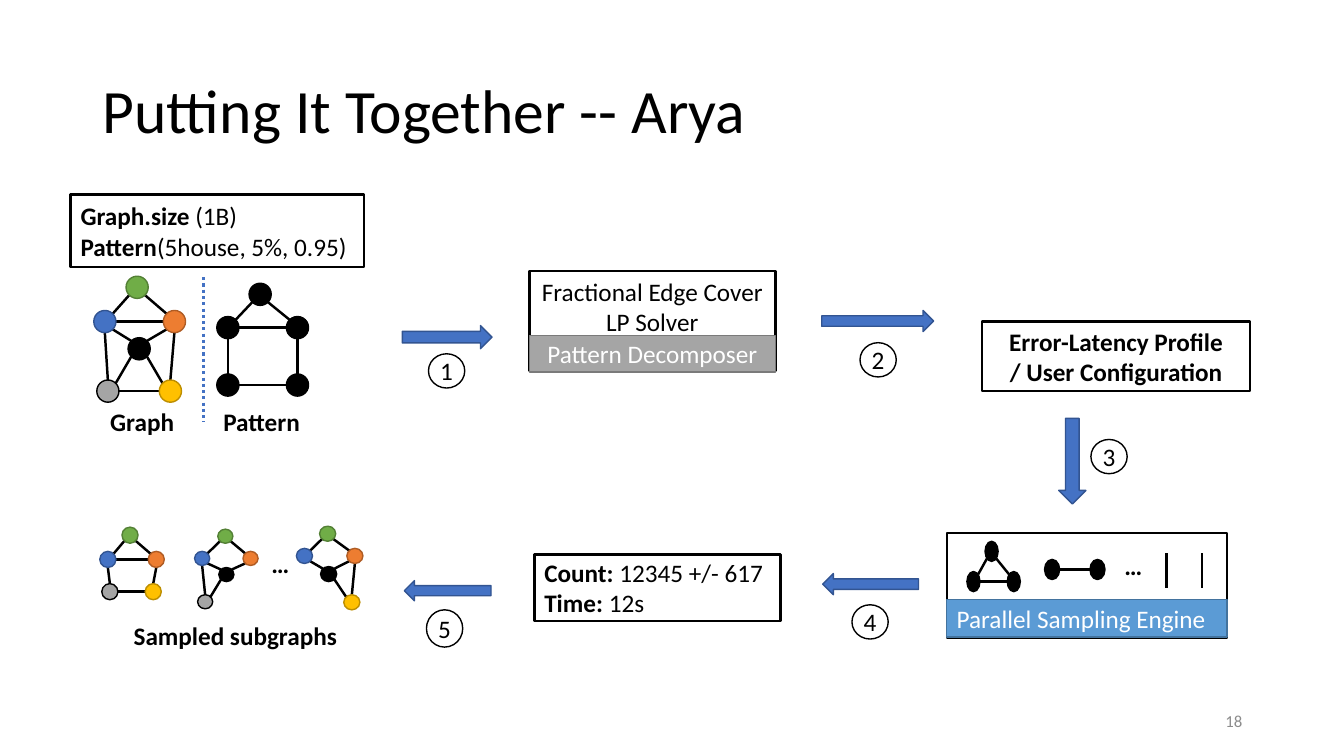
from math import atan2, cos, pi, sin

from lxml import etree
from pptx import Presentation
from pptx.dml.color import RGBColor
from pptx.enum.dml import MSO_LINE
from pptx.enum.shapes import MSO_CONNECTOR, MSO_SHAPE
from pptx.enum.text import MSO_ANCHOR as Anchor, PP_ALIGN as Align
from pptx.oxml.ns import qn
from pptx.util import Inches, Pt

FONT = "Calibri"
COLORS = {
    "black": "000000", "white": "FFFFFF", "gray": "A5A5A5", "gray_edge": "7A7A7A",
    "green": "70AD47", "green_edge": "538035", "blue": "4472C4", "blue_edge": "325491",
    "orange": "ED7D31", "orange_edge": "AF5C24", "gold": "FFC000", "gold_edge": "BD8E00",
    "sky": "5B9BD5", "sky_edge": "43739E", "page": "8C8C8C",
}


def rgb(name):
    return RGBColor.from_string(COLORS[name])


def write(frame, lines, color="black", size=18, align=Align.CENTER, anchor=Anchor.MIDDLE):
    """Each line is a list of (text, bold) runs."""
    frame.vertical_anchor = anchor
    for i, line in enumerate(lines):
        paragraph = frame.paragraphs[0] if i == 0 else frame.add_paragraph()
        paragraph.alignment = align
        for text, bold in line:
            run = paragraph.add_run()
            run.text = text
            run.font.name, run.font.size, run.font.bold = FONT, Pt(size), bold
            run.font.color.rgb = rgb(color)


def add_figure(slide, kind, box, fill, edge, width=1):
    figure = slide.shapes.add_shape(kind, *map(Inches, box))
    figure.shadow.inherit = False
    figure.fill.solid()
    figure.fill.fore_color.rgb = rgb(fill)
    figure.line.color.rgb = rgb(edge)
    figure.line.width = Pt(width)
    return figure


def add_box(slide, box, lines=(), fill="white", edge="black", width=1.75, **style):
    panel = add_figure(slide, MSO_SHAPE.RECTANGLE, box, fill, edge, width)
    panel.text_frame.word_wrap = True
    write(panel.text_frame, lines, **style)


def add_label(slide, box, text, bold=True, wrap=False, **style):
    label = slide.shapes.add_textbox(*map(Inches, box))
    label.text_frame.word_wrap = wrap
    write(label.text_frame, [[(text, bold)]], **style)


def add_line(slide, start, end, color="black", width=1.75):
    line = slide.shapes.add_connector(MSO_CONNECTOR.STRAIGHT, *map(Inches, (*start, *end)))
    line.line.color.rgb = rgb(color)
    line.line.width = Pt(width)
    etree.SubElement(line._element.spPr, qn("a:effectLst"))
    return line


def rim_point(node, other, size):
    """Point on the rim of a node facing another, at the nearest eighth of a turn."""
    angle = atan2(other[1] - node[1], other[0] - node[0])
    angle = round(angle / (pi / 4)) * pi / 4
    return node[0] + size[0] / 2 * (1 + cos(angle)), node[1] + size[1] / 2 * (1 + sin(angle))


def draw_graph(slide, nodes, edges, size, color=None):
    """Nodes map a name to the top left corner; edges are pairs of names."""
    for first, second in (edge.split("-") for edge in edges.split()):
        add_line(slide, rim_point(nodes[first], nodes[second], size),
                 rim_point(nodes[second], nodes[first], size))
    for name, corner in nodes.items():
        fill = color or name
        edge = "black" if fill in ("black", "gray") else fill + "_edge"
        add_figure(slide, MSO_SHAPE.OVAL, (*corner, *size), fill, edge)


def add_step(slide, number, arrow_box, badge_box, rotation=0):
    arrow = add_figure(slide, MSO_SHAPE.RIGHT_ARROW, arrow_box, "blue", "blue_edge")
    arrow.rotation = rotation
    badge = add_figure(slide, MSO_SHAPE.OVAL, badge_box, "white", "black")
    frame = badge.text_frame
    frame.margin_left = frame.margin_right = frame.margin_top = frame.margin_bottom = 0
    frame.word_wrap = False
    write(frame, [[(str(number), False)]])


def draw_title(slide):
    title = slide.shapes.title
    title.left, title.top, title.width, title.height = map(Inches, (0.92, 0.4, 11.5, 1.45))
    write(title.text_frame, [[("Putting It Together -- Arya", False)]], size=44, align=Align.LEFT)
    title.text_frame.paragraphs[0].line_spacing = 0.9


def draw_input(slide):
    add_box(slide, (0.7, 1.93, 2.91, 0.72),
            [[("Graph.size ", True), ("(1B)", False)],
             [("Pattern", True), ("(5house, 5%, 0.95)", False)]], align=Align.LEFT)
    size = (0.22, 0.22)
    graph = {"green": (1.25, 2.74), "blue": (0.93, 3.08), "orange": (1.62, 3.08),
             "black": (1.27, 3.35), "gray": (0.96, 3.77), "gold": (1.58, 3.77)}
    draw_graph(slide, graph, "green-blue green-orange blue-orange blue-black orange-black "
               "black-gray black-gold gray-gold blue-gray orange-gold", size)
    house = {"roof": (2.47, 2.81), "left": (2.15, 3.14), "right": (2.84, 3.14),
             "base_left": (2.15, 3.71), "base_right": (2.84, 3.71)}
    draw_graph(slide, house, "roof-left roof-right left-right left-base_left "
               "right-base_right base_left-base_right", size, "black")
    divider = add_line(slide, (2.02, 2.75), (2.02, 4.19), "blue", 2.25)
    divider.line.dash_style = MSO_LINE.ROUND_DOT
    add_label(slide, (0.99, 3.98, 0.84, 0.4), "Graph")
    add_label(slide, (2.11, 3.98, 0.97, 0.4), "Pattern")


def draw_sampling_engine(slide):
    add_box(slide, (9.39, 5.29, 2.78, 1.04))
    add_box(slide, (9.39, 5.95, 2.78, 0.37), [[("Parallel Sampling Engine", False)]],
            "sky", "sky_edge", 1, color="white", align=Align.LEFT)
    triangle = {"top": (9.77, 5.37), "left": (9.59, 5.67), "right": (9.99, 5.67)}
    draw_graph(slide, triangle, "top-left top-right left-right", (0.13, 0.2), "black")
    pair = {"left": (10.36, 5.55), "right": (10.81, 5.55)}
    draw_graph(slide, pair, "left-right", (0.15, 0.2), "black")
    add_label(slide, (11.05, 5.41, 0.38, 0.4), "…")
    for x in (11.57, 11.92):
        add_line(slide, (x, 5.49), (x, 5.83))


def draw_samples(slide):
    house = {"green": (1.21, 5.23), "blue": (0.99, 5.47), "orange": (1.47, 5.47),
             "gray": (1.01, 5.79), "gold": (1.44, 5.79)}
    draw_graph(slide, house, "green-blue green-orange blue-orange blue-gray "
               "orange-gold gray-gold", (0.16, 0.16))
    diamond = "green-blue green-orange blue-black orange-black "
    left_tail = {"green": (2.16, 5.25), "blue": (1.93, 5.47), "orange": (2.41, 5.47),
                 "black": (2.17, 5.63), "gray": (1.96, 5.9)}
    draw_graph(slide, left_tail, diamond + "black-gray blue-gray", (0.15, 0.14))
    right_tail = {"green": (3.17, 5.22), "blue": (2.94, 5.44), "orange": (3.44, 5.44),
                  "black": (3.18, 5.62), "gold": (3.41, 5.9)}
    draw_graph(slide, right_tail, diamond + "black-gold orange-gold", (0.16, 0.15))
    add_label(slide, (2.59, 5.39, 0.38, 0.4), "…")
    add_label(slide, (1.22, 6.1, 2.23, 0.4), "Sampled subgraphs")


def main():
    deck = Presentation()
    deck.slide_width, deck.slide_height = Inches(13.33), Inches(7.5)
    slide = deck.slides.add_slide(deck.slide_layouts[5])
    draw_title(slide)
    draw_input(slide)

    # Pattern decomposer
    add_box(slide, (5.25, 2.69, 2.44, 0.99),
            [[("Fractional Edge Cover", False)], [("LP Solver", False)]], anchor=Anchor.TOP)
    add_box(slide, (5.25, 3.33, 2.44, 0.36), [[("Pattern Decomposer", False)]],
            "gray", "gray_edge", 1, color="white")

    # Profile, sampling engine and results
    add_box(slide, (9.74, 3.19, 2.66, 0.69),
            [[("Error-Latency Profile", True)], [("/ User Configuration", True)]])
    draw_sampling_engine(slide)
    add_box(slide, (5.3, 5.5, 2.44, 0.66),
            [[("Count: ", True), ("12345 +/- 617", False)],
             [("Time: ", True), ("12s", False)]], align=Align.LEFT)
    draw_samples(slide)

    # Numbered steps
    add_step(slide, 1, (3.99, 3.23, 0.89, 0.23), (4.25, 3.51, 0.36, 0.34))
    add_step(slide, 2, (8.15, 3.08, 1.11, 0.21), (8.53, 3.4, 0.36, 0.34))
    add_step(slide, 3, (10.21, 4.44, 0.85, 0.27), (10.82, 4.36, 0.36, 0.34), 90)
    add_step(slide, 4, (8.16, 5.69, 0.95, 0.21), (8.45, 6, 0.36, 0.34), 180)
    add_step(slide, 5, (4.01, 5.76, 0.86, 0.2), (4.23, 6.05, 0.36, 0.37), 180)

    # Page number
    add_label(slide, (9.42, 6.95, 3, 0.4), "18", bold=False, wrap=True,
              color="page", size=12, align=Align.RIGHT)
    deck.save("out.pptx")


if __name__ == "__main__":
    main()
